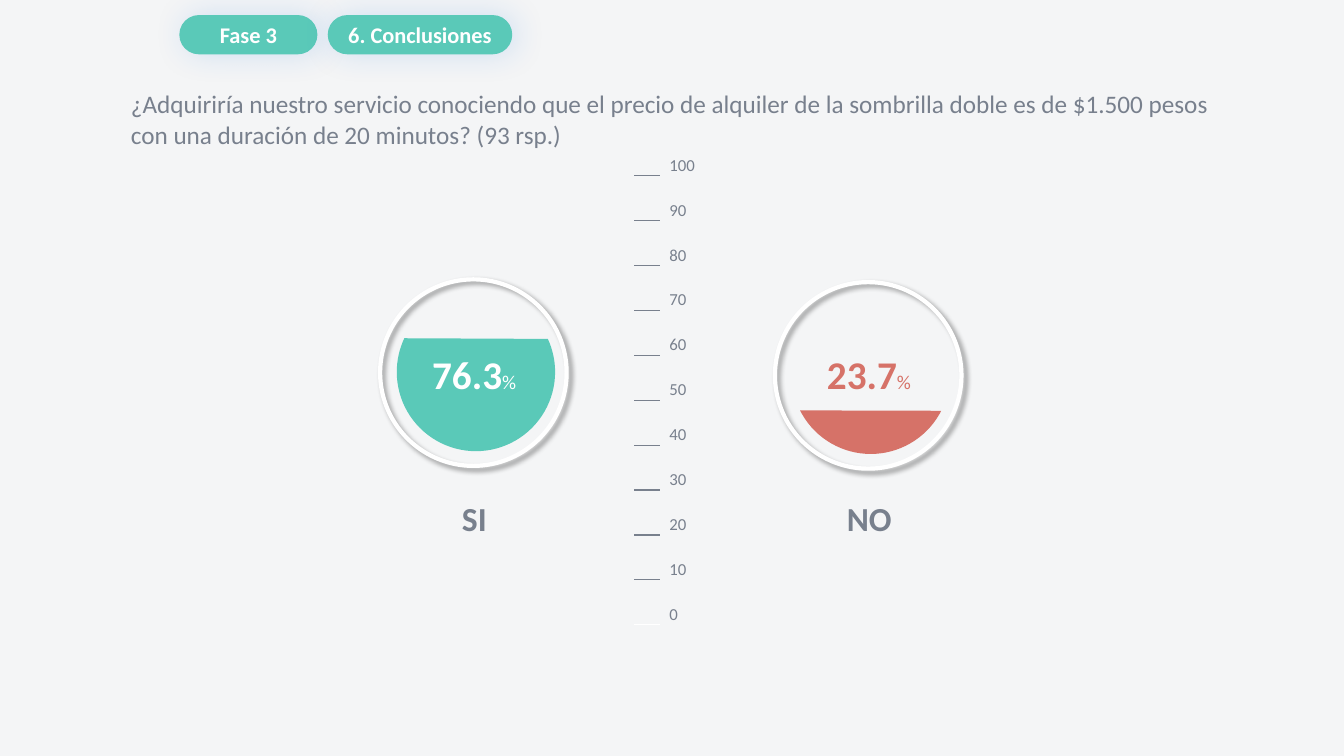
import pptx
import pptx.dml.color
import pptx.enum.shapes
import pptx.enum.text
import pptx.oxml
import pptx.oxml.ns
import pptx.util

Cm = pptx.util.Cm
Pt = pptx.util.Pt
SHAPE = pptx.enum.shapes.MSO_SHAPE
ALIGN = pptx.enum.text.PP_ALIGN
ANCHOR = pptx.enum.text.MSO_ANCHOR

GRAY, WHITE, GREEN, RED = "78808D", "FFFFFF", "5AC9B8", "D67268"
NO_TABLE_STYLE = "{2D5ABB26-0587-4C30-8999-92F81FD0307C}"
# Shadows: colour, opacity %, blur pt, distance pt, direction in degrees
RING_SHADOW = ("000000", 40, 4, 3, 45)
PILL_SHADOW = ("1A73DE", 17, 23, 3, 0)


def color(value):
    return pptx.dml.color.RGBColor.from_string(value)


def drawing_element(text):
    namespace = pptx.oxml.ns.nsdecls("a")
    return pptx.oxml.parse_xml(text.replace(" ", f" {namespace} ", 1))


class SlideBuilder:
    font_name = "Calibri"

    def __init__(self, slide):
        self.slide = slide

    def add_runs(self, paragraph, runs, align=ALIGN.CENTER, line_spacing=None):
        """Each run is (text, size, colour, bold)."""
        paragraph.alignment = align
        paragraph.line_spacing = line_spacing
        for text, size, text_color, bold in runs:
            run = paragraph.add_run()
            run.text = text
            run.font.color.rgb = color(text_color)
            formats = {"name": self.font_name, "size": Pt(size), "bold": bold}
            for name, value in formats.items():
                setattr(run.font, name, value)

    def text(self, left, top, width, height, runs, **paragraph_format):
        box = self.slide.shapes.add_textbox(Cm(left), Cm(top), Cm(width), Cm(height))
        formats = {"word_wrap": True,
                   "auto_size": pptx.enum.text.MSO_AUTO_SIZE.SHAPE_TO_FIT_TEXT}
        for name, value in formats.items():
            setattr(box.text_frame, name, value)
        self.add_runs(box.text_frame.paragraphs[0], runs, **paragraph_format)

    def shape(self, kind, left, top, width, height, fill=None, line=None,
              shadow=None, adjustments=()):
        shape = self.slide.shapes.add_shape(kind, Cm(left), Cm(top), Cm(width), Cm(height))
        shape.shadow.inherit = False
        for index, value in enumerate(adjustments):
            shape.adjustments[index] = value
        if fill:
            shape.fill.solid()
            shape.fill.fore_color.rgb = color(fill)
        else:
            shape.fill.background()
        if line:
            shape.line.color.rgb = color(line)
            shape.line.width = Pt(3)
        else:
            shape.line.fill.background()
        if shadow:
            self.add_shadow(shape, *shadow)
        return shape

    def add_shadow(self, shape, shadow_color, opacity, blur, distance, direction):
        effects = shape._element.spPr.find(pptx.oxml.ns.qn("a:effectLst"))
        effects.append(drawing_element(
            f'<a:outerShdw blurRad="{Pt(blur)}" dist="{Pt(distance)}" '
            f'dir="{direction * 60000}" algn="ctr" rotWithShape="0">'
            f'<a:srgbClr val="{shadow_color}"><a:alpha val="{opacity * 1000}"/>'
            '</a:srgbClr></a:outerShdw>'))

    def pill(self, left, width, label):
        shape = self.shape(SHAPE.ROUNDED_RECTANGLE, left, 0.38, width, 0.99,
                           fill=GREEN, shadow=PILL_SHADOW, adjustments=[0.5])
        shape.text_frame.vertical_anchor = ANCHOR.MIDDLE
        self.add_runs(shape.text_frame.paragraphs[0], [(label, 16, WHITE, True)])

    def dial(self, left, top, angles, fill, percent, text_color, label):
        self.shape(SHAPE.OVAL, left, top, 4.7, 4.7, line=WHITE, shadow=RING_SHADOW)
        # Adjustments count in 100000ths, angles in 60000ths of a degree
        self.shape(SHAPE.CHORD, left + 0.42, top + 0.34, 3.99, 3.99, fill=fill,
                   adjustments=[angle * 0.6 for angle in angles])
        self.text(left + 0.34, 8.71, 4.06, 1.45,
                  [(percent, 28, text_color, True), ("%", 14, text_color, False)])
        self.text(left - 0.71, 11.91, 6.17, 1.63, [(label, 24, GRAY, True)],
                  line_spacing=1.5)

    def border(self, side, line_color):
        return drawing_element(
            f'<a:ln{side} w="{Pt(1)}"><a:solidFill><a:srgbClr val="{line_color}"/>'
            f'</a:solidFill></a:ln{side}>')

    def scale(self, left, top, column_widths, height, values):
        frame = self.slide.shapes.add_table(len(values), 2, Cm(left), Cm(top),
                                            Cm(sum(column_widths)), Cm(height))
        table = frame.table
        table._tbl.tblPr.find(pptx.oxml.ns.qn("a:tableStyleId")).text = NO_TABLE_STYLE
        for name in ("first_row", "horz_banding"):
            setattr(table, name, False)
        for column, width in zip(table.columns, column_widths):
            column.width = Cm(width)
        for row, value in enumerate(values):
            tick, number = table.cell(row, 0), table.cell(row, 1)
            for cell in (tick, number):
                cell.fill.background()
            # Ticks: the lower edge of each cell, white under the last
            borders = [("T", GRAY)] if row else []
            borders.append(("B", GRAY if value else WHITE))
            properties = tick._tc.get_or_add_tcPr()
            for index, (side, line_color) in enumerate(borders):
                properties.insert(index, self.border(side, line_color))
            formats = {"vertical_anchor": ANCHOR.BOTTOM, "margin_left": Cm(0.25),
                       "margin_top": 0, "margin_right": 0, "margin_bottom": 0}
            for name, setting in formats.items():
                setattr(number, name, setting)
            self.add_runs(number.text_frame.paragraphs[0],
                          [(str(value), 12, GRAY, False)], align=ALIGN.LEFT)


def main():
    presentation = pptx.Presentation()
    presentation.slide_width, presentation.slide_height = Cm(33.87), Cm(19.05)
    slide = presentation.slides.add_slide(presentation.slide_layouts[6])
    slide.background.fill.solid()
    slide.background.fill.fore_color.rgb = color("F4F5F6")
    builder = SlideBuilder(slide)

    # Scale from 100 down to 0
    builder.scale(15.98, 3.3, (0.64, 1.27), 12.45, range(100, -1, -10))

    # Answer dials
    builder.dial(9.58, 7.04, (335.3, 205.24), GREEN, "76.3", WHITE, "SI")
    builder.dial(19.53, 7.11, (27.05, 153.27), RED, "23.7", RED, "NO")

    # Section pills and question
    builder.pill(4.52, 3.48, "Fase 3")
    builder.pill(8.26, 4.65, "6. Conclusiones")
    question = ("¿Adquiriría nuestro servicio conociendo que el precio de alquiler de la "
                "sombrilla doble es de $1.500 pesos con una duración de 20 minutos? (93 rsp.)")
    builder.text(3.05, 2.11, 28.47, 1.8, [(question, 18, GRAY, False)], align=ALIGN.LEFT)

    presentation.save("out.pptx")


if __name__ == "__main__":
    main()
